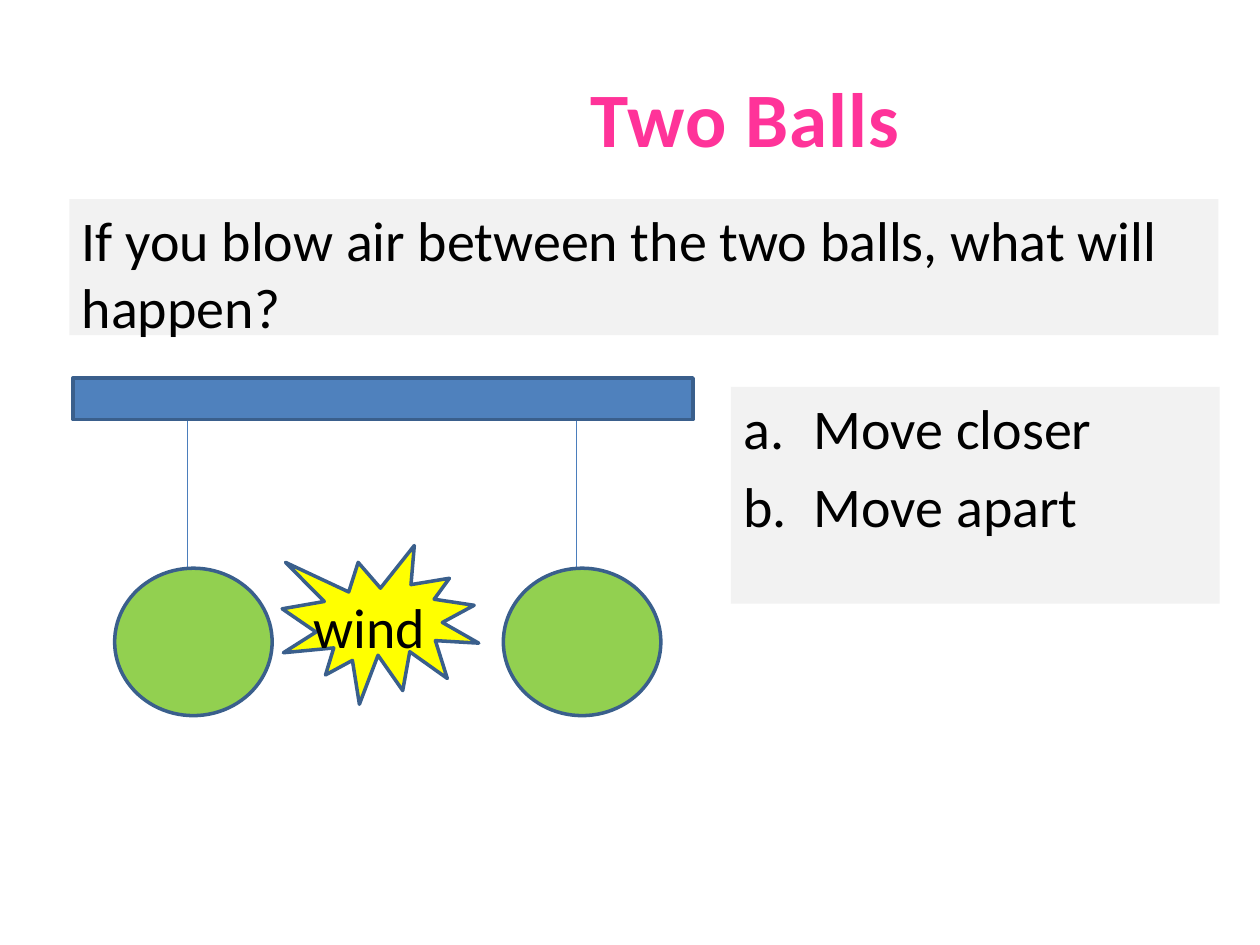
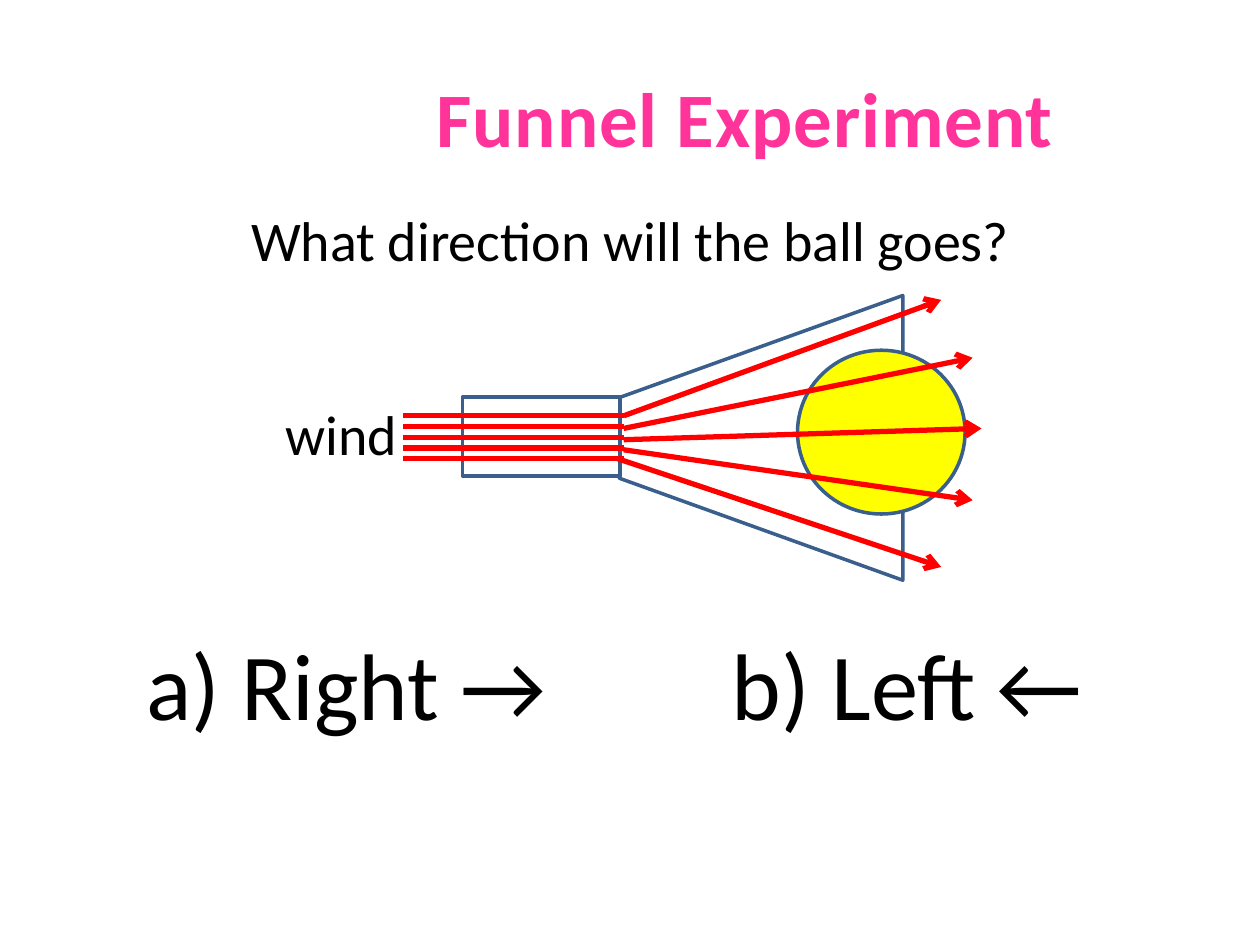
from dataclasses import dataclass

from lxml.etree import SubElement
from pptx import Presentation
from pptx.dml.color import RGBColor
from pptx.enum.shapes import MSO_CONNECTOR, MSO_SHAPE
from pptx.enum.text import MSO_ANCHOR, PP_ALIGN
from pptx.oxml.ns import qn
from pptx.util import Inches, Pt


@dataclass(frozen=True)
class Theme:
    font: str = "Calibri"
    title: str = "FF3399"
    ink: str = "000000"
    panel: str = "F2F2F2"
    white: str = "FFFFFF"
    bar: str = "4F81BD"
    outline: str = "3A5F8C"
    string: str = "4B7EBC"
    green: str = "92D050"
    yellow: str = "FFFF00"
    red: str = "FF0000"
    title_size: float = 44
    body_size: float = 32
    answer_size: float = 54
    outline_width: float = 2
    string_width: float = 0.75
    wind_width: float = 3


@dataclass(frozen=True)
class Box:
    """A region of the slide, measured in grid cells."""
    x: float
    y: float
    w: float
    h: float

    def sub(self, x, y, w, h):
        return Box(self.x + x, self.y + y, w, h)

    def point(self, x, y):
        return cells(self.x + x), cells(self.y + y)

    def frame(self):
        return [cells(v) for v in (self.x, self.y, self.w, self.h)]


T = Theme()
WIDTH, HEIGHT = Inches(10), Inches(7.5)
COLUMNS, ROWS = 100, 75  # square cells
SLIDE = Box(0, 0, COLUMNS, ROWS)


def cells(n):
    return round(n * WIDTH / COLUMNS)


def rgb(color):
    return RGBColor.from_string(color)


# Building blocks

def add_text(shapes, box, *lines, size=T.body_size, color=T.ink, bold=False,
             align=PP_ALIGN.LEFT, anchor=MSO_ANCHOR.TOP, fill=None,
             before=0.2, spacing=0, numbering=None, indent=5.6):
    sp = shapes.add_textbox(*box.frame())
    if fill:
        sp.fill.solid()
        sp.fill.fore_color.rgb = rgb(fill)
    tf = sp.text_frame
    tf.word_wrap = True
    tf.vertical_anchor = anchor
    for i, line in enumerate(lines):
        p = tf.add_paragraph() if i else tf.paragraphs[0]
        p.alignment = align
        p.space_before = Pt(before * size)
        if numbering:
            pPr = p._p.get_or_add_pPr()
            pPr.set("marL", str(cells(indent)))
            pPr.set("indent", str(-cells(indent)))
            SubElement(pPr, qn("a:buAutoNum"), type=numbering)
        r = p.add_run()
        r.text = line
        r.font.name, r.font.size, r.font.bold = T.font, Pt(size), bold
        r.font.color.rgb = rgb(color)
        if spacing:
            r._r.get_or_add_rPr().set("spc", str(round(spacing * 100)))
    return sp


def add_figure(shapes, kind, box, fill):
    sp = shapes.add_shape(kind, *box.frame())
    sp.shadow.inherit = False
    sp.fill.solid()
    sp.fill.fore_color.rgb = rgb(fill)
    sp.line.color.rgb = rgb(T.outline)
    sp.line.width = Pt(T.outline_width)
    return sp


def add_line(shapes, start, end, color, width, arrow=False):
    cn = shapes.add_connector(MSO_CONNECTOR.STRAIGHT, *start, *end)
    cn.line.color.rgb = rgb(color)
    cn.line.width = Pt(width)
    spPr = cn._element.spPr
    if arrow:
        SubElement(spPr.get_or_add_ln(), qn("a:tailEnd"), type="arrow")
    SubElement(spPr, qn("a:effectLst"))
    return cn


def add_slide(prs, title):
    s = prs.slides.add_slide(prs.slide_layouts[6])
    s.background.fill.solid()
    s.background.fill.fore_color.rgb = rgb(T.white)
    add_text(s.shapes, SLIDE.sub(23.3, 3, 71.7, 12.5), title,
             size=T.title_size, color=T.title, bold=True, spacing=0.5,
             align=PP_ALIGN.CENTER, anchor=MSO_ANCHOR.MIDDLE, before=0)
    return s


# Two Balls

def draw_pendulum(shapes, box):
    ball_top = 11.7
    add_line(shapes, box.point(5.8, 0), box.point(5.8, ball_top),
             T.string, T.string_width)
    add_figure(shapes, MSO_SHAPE.OVAL,
               box.sub(0, ball_top, box.w, box.h - ball_top), T.green)


def draw_hanging_balls(s, box):
    bar_height, ball_gap = 3.3, 30.85
    add_figure(s.shapes, MSO_SHAPE.RECTANGLE,
               box.sub(0, 0, box.w, bar_height), T.bar)
    for i in range(2):
        draw_pendulum(s.shapes.add_group_shape().shapes,
                      box.sub(3.3 + i * ball_gap, bar_height + 0.1, 12.5, 23.4))
    add_figure(s.shapes, MSO_SHAPE.EXPLOSION1,
               box.sub(16.6, 13.3, 15.6, 12.6), T.yellow)
    add_text(s.shapes, box.sub(18.1, 16.5, 14.1, 5.9), "wind")


def two_balls_slide(prs):
    s = add_slide(prs, "Two Balls")
    draw_hanging_balls(s, SLIDE.sub(5.8, 30, 49.2, 26.8))
    add_text(s.shapes, SLIDE.sub(5.5, 15.8, 91.2, 10.8),
             "If you blow air between the two balls, what will happen?",
             fill=T.panel)
    add_text(s.shapes, SLIDE.sub(58, 30.7, 38.8, 17.2),
             "Move closer", "Move apart",
             fill=T.panel, numbering="alphaLcPeriod")


# Funnel Experiment

def draw_funnel(shapes, box):
    # Cone, tube and ball
    cone = add_figure(shapes, MSO_SHAPE.TRAPEZOID,
                      box.sub(17.1, 0, 22.6, 22.5), T.white)
    cone.adjustments[0] = 0.36
    cone.rotation = 270
    add_figure(shapes, MSO_SHAPE.RECTANGLE,
               box.sub(4.7, 8, 12.5, 6.3), T.white)
    add_figure(shapes, MSO_SHAPE.OVAL,
               box.sub(31.3, 4.3, 13.3, 13), T.yellow)

    # Parallel air flow, from the left edge of the box to the tube's mouth
    mouth, first_row, row_gap = 17.5, 9.5, 0.85
    for i in range(5):
        y = first_row + i * row_gap
        add_line(shapes, box.point(0, y), box.point(mouth, y),
                 T.red, T.wind_width)

    # Air flow that spreads out in the cone
    spread = [((mouth, 9.5), (42.7, 0.3)),
              ((mouth, 10.5), (45.2, 4.9)),
              ((mouth, 11.4), (45.9, 10.5)),
              ((mouth, 12.2), (45.2, 16.2)),
              ((mouth - 0.5, 12.9), (42.7, 21.5))]
    for start, tip in spread:
        add_line(shapes, box.point(*start), box.point(*tip),
                 T.red, T.wind_width, arrow=True)


def funnel_slide(prs):
    s = add_slide(prs, "Funnel Experiment")
    centred = {"align": PP_ALIGN.CENTER}
    add_text(s.shapes, SLIDE.sub(6.7, 15.8, 86.7, 10.3),
             "What direction will the ball goes?", **centred)
    draw_funnel(s.shapes.add_group_shape().shapes,
                SLIDE.sub(32, 23.5, 46, 22.5))
    add_text(s.shapes, SLIDE.sub(18.6, 31.2, 17, 6.6), "wind", **centred)
    for i, answer in enumerate(("a) Right → ", "b) Left ← ")):
        add_text(s.shapes, SLIDE.sub(4.7 + i * 44.5, 49.2, 47.3, 10.3),
                 answer, size=T.answer_size, **centred)


def main():
    prs = Presentation()
    prs.slide_width, prs.slide_height = WIDTH, HEIGHT
    two_balls_slide(prs)
    funnel_slide(prs)
    prs.save("out.pptx")


if __name__ == "__main__":
    main()
